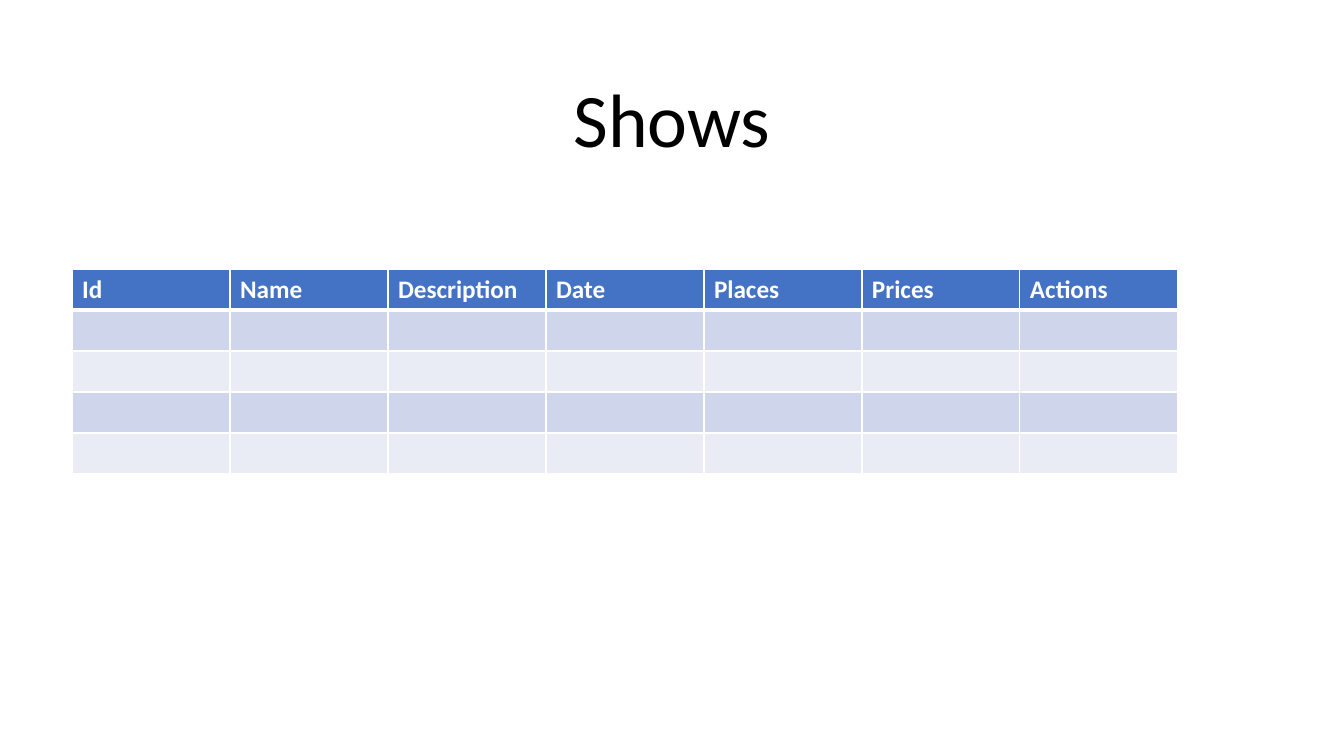
from dataclasses import dataclass

from lxml import etree
from pptx import Presentation
from pptx.dml.color import RGBColor
from pptx.enum.text import MSO_ANCHOR, MSO_AUTO_SIZE, PP_ALIGN
from pptx.oxml.ns import qn
from pptx.table import _Cell
from pptx.text.text import TextFrame
from pptx.util import Emu, Pt

LEFT, CENTER = PP_ALIGN.LEFT, PP_ALIGN.CENTER
BOTTOM = MSO_ANCHOR.BOTTOM
NO_AUTOFIT = MSO_AUTO_SIZE.NONE

BLACK = RGBColor(0x00, 0x00, 0x00)
WHITE = RGBColor(0xFF, 0xFF, 0xFF)
HEADER_BLUE = RGBColor(0x44, 0x72, 0xC4)
BAND_DARK = RGBColor(0xCF, 0xD5, 0xEA)
BAND_LIGHT = RGBColor(0xE9, 0xEB, 0xF5)

FONT = "Calibri"
EMU_PER_PIXEL = 914400 / 100.8
TITLE_ONLY_LAYOUT = 5
COLUMN_WIDTH, ROW_HEIGHT = 158, 41
THIN, THICK = 1, 3


@dataclass(frozen=True)
class TableRow:
    """One row of the shows table, with its look."""
    labels: tuple[str, ...]
    fill: RGBColor
    top_line: int = THIN
    bottom_line: int = THIN


HEADINGS = ("Id", "Name", "Description", "Date", "Places", "Prices", "Actions")
NO_LABELS = ("",) * len(HEADINGS)
ROWS = (
    TableRow(HEADINGS, HEADER_BLUE, bottom_line=THICK),
    TableRow(NO_LABELS, BAND_DARK, top_line=THICK),
    TableRow(NO_LABELS, BAND_LIGHT),
    TableRow(NO_LABELS, BAND_DARK),
    TableRow(NO_LABELS, BAND_LIGHT),
)


def px(pixels: int) -> Emu:
    """Turn whole pixels into EMU."""
    return Emu(round(pixels * EMU_PER_PIXEL))


def write(frame: TextFrame, text: str, *, size: int, color: RGBColor,
          bold: bool = False, align: PP_ALIGN = LEFT, spacing: float = 1.0) -> None:
    """Put one formatted paragraph into a text frame."""
    paragraph = frame.paragraphs[0]
    paragraph.alignment = align
    paragraph.line_spacing = spacing
    run = paragraph.add_run()
    run.text = text
    run.font.name = FONT
    run.font.size = Pt(size)
    run.font.bold = bold
    run.font.color.rgb = color


def add_borders(cell: _Cell, row: TableRow) -> None:
    """Draw white lines on the four sides of a cell."""
    properties = cell._tc.get_or_add_tcPr()
    sides = {"L": THIN, "R": THIN, "T": row.top_line, "B": row.bottom_line}
    for side, points in sides.items():
        line = etree.SubElement(properties, qn(f"a:ln{side}"), w=str(Pt(points)))
        fill = etree.SubElement(line, qn("a:solidFill"))
        etree.SubElement(fill, qn("a:srgbClr"), val=str(WHITE))


def format_cell(cell: _Cell, label: str, row: TableRow) -> None:
    """Give a cell its borders, fill and label."""
    add_borders(cell, row)
    cell.fill.solid()
    cell.fill.fore_color.rgb = row.fill
    if label:
        write(cell.text_frame, label, size=18, color=WHITE, bold=True)


presentation = Presentation()
presentation.slide_width, presentation.slide_height = px(1344), px(756)
slide = presentation.slides.add_slide(presentation.slide_layouts[TITLE_ONLY_LAYOUT])

heading = slide.shapes.title
heading.left, heading.top, heading.width, heading.height = map(px, (168, 72, 1008, 97))
heading.text_frame.auto_size = NO_AUTOFIT
heading.text_frame.vertical_anchor = BOTTOM
write(heading.text_frame, "Shows", size=54, color=BLACK, align=CENTER, spacing=0.9)

shows = slide.shapes.add_table(
    len(ROWS), len(HEADINGS), px(72), px(269),
    px(COLUMN_WIDTH * len(HEADINGS)), px(ROW_HEIGHT * len(ROWS))).table
shows.horz_banding = False
for column in shows.columns:
    column.width = px(COLUMN_WIDTH)
for table_row, row in zip(shows.rows, ROWS):
    table_row.height = px(ROW_HEIGHT)
    for cell, label in zip(table_row.cells, row.labels):
        format_cell(cell, label, row)

presentation.save("out.pptx")
